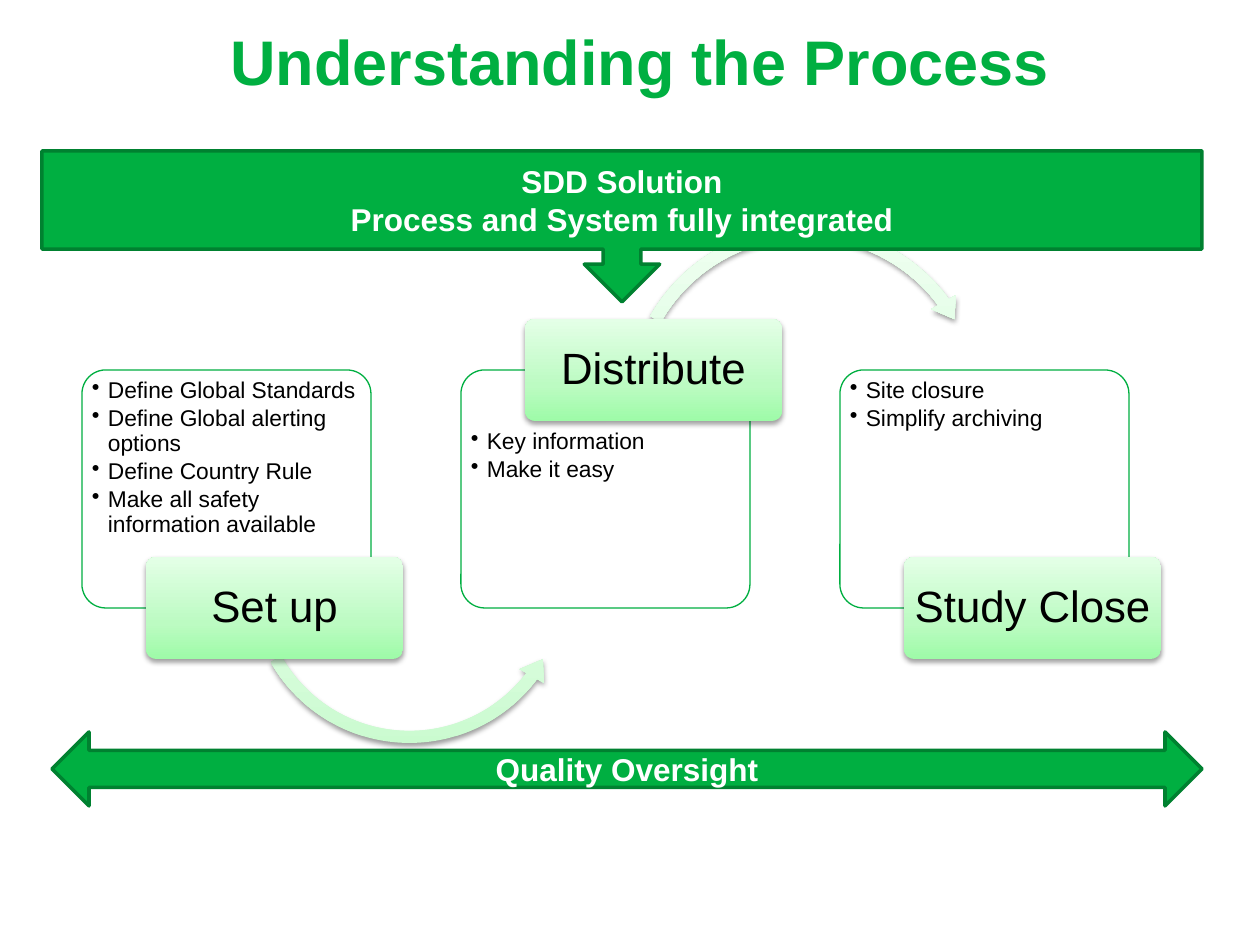
from copy import deepcopy

from lxml.etree import SubElement
from pptx import Presentation
from pptx.dml.color import RGBColor
from pptx.enum.shapes import MSO_SHAPE
from pptx.enum.text import MSO_ANCHOR, PP_ALIGN
from pptx.oxml.ns import qn
from pptx.util import Emu, Pt

EMU_PER_PX = 914400 / 126
COLORS = {
    "green": "00AF41", "dark": "008130", "white": "FFFFFF", "black": "000000",
    "label": ("9EFBA8", "BCFBC2", "E4FFE7"),
    "arc": ("CAFBCF", "D9FCDD", "EFFFF1"),
}
GRADIENT_POSITIONS = (0, 0.35, 1)

TITLE_FONT = {"size": Pt(36), "bold": True, "name": "Arial"}
BANNER_FONT = {"size": Pt(18), "bold": True, "name": "Arial"}
LABEL_FONT = {"size": Pt(25), "name": "Arial"}
POINT_FONT = {"size": Pt(13), "name": "Arial"}
CENTERED = {"alignment": PP_ALIGN.CENTER}
LABEL_PARAGRAPH = {"alignment": PP_ALIGN.CENTER, "line_spacing": 0.9}
POINT_PARAGRAPH = {"alignment": PP_ALIGN.LEFT, "level": 1,
                   "line_spacing": 0.9, "space_after": Pt(2)}

STAGE_BOX = (82, 370, 289, 238)
STAGE_PITCH = 379
LABEL_SIZE = (257, 102)
LABEL_OFFSET = 64
STAGES = [
    {"name": "Set up", "label_on_top": False,
     "points": ["Define Global Standards", "Define Global alerting options",
                "Define Country Rule", "Make all safety information available"],
     "arc": (MSO_SHAPE.LEFT_CIRCULAR_ARROW, (160, 46, 335),
             (0.036, 4.525, 22.28, 90.245, 0.042))},
    {"name": "Distribute", "label_on_top": True,
     "points": ["Key information", "Make it easy"],
     "arc": (MSO_SHAPE.CIRCULAR_ARROW, (158, -152, 372),
             (0.033, 4.041, 194.204, 125.755, 0.038))},
    {"name": "Study Close", "label_on_top": False,
     "points": ["Site closure", "Simplify archiving"], "arc": None},
]


def px(length):
    """Turn picture pixels into EMU."""
    return Emu(round(length * EMU_PER_PX))


def set_attributes(target, values):
    """Set every attribute named in a dict of format values."""
    for name, value in values.items():
        setattr(target, name, value)


def write_lines(shape, lines, font, color, paragraph_format, margins=None):
    """Fill a shape with one paragraph per line."""
    frame = shape.text_frame
    frame.word_wrap = True
    for side, margin in zip(("left", "top", "right", "bottom"), margins or ()):
        setattr(frame, f"margin_{side}", px(margin))
    for index, line in enumerate(lines):
        paragraph = frame.paragraphs[0] if index == 0 else frame.add_paragraph()
        set_attributes(paragraph, paragraph_format)
        run = paragraph.add_run()
        run.text = line
        set_attributes(run.font, font)
        run.font.color.rgb = RGBColor.from_string(COLORS[color])


def add_plain_shape(slide, kind, box, adjustments=()):
    """Add a preset shape without shadow."""
    shape = slide.shapes.add_shape(kind, *map(px, box))
    shape.shadow.inherit = False
    for index, value in enumerate(adjustments):
        shape.adjustments[index] = value
    return shape


def paint(shape, fill, line, width):
    """Give a shape a solid fill and an outline."""
    shape.fill.solid()
    shape.fill.fore_color.rgb = RGBColor.from_string(COLORS[fill])
    shape.line.color.rgb = RGBColor.from_string(COLORS[line])
    shape.line.width = Pt(width)


def add_glossy_shape(slide, kind, box, adjustments, gradient):
    """Add a borderless shape with a vertical gradient and a soft shadow."""
    shape = add_plain_shape(slide, kind, box, adjustments)
    shape.line.fill.background()
    shape.fill.gradient()
    shape.fill.gradient_angle = 90
    properties = shape.element.spPr
    stop_list = properties.find(".//" + qn("a:gsLst"))
    stop_list.append(deepcopy(stop_list[0]))
    stops = zip(shape.fill.gradient_stops, GRADIENT_POSITIONS, COLORS[gradient])
    for stop, position, color in stops:
        stop.position = position
        stop.color.rgb = RGBColor.from_string(color)
    shadow = SubElement(properties.find(qn("a:effectLst")), qn("a:outerShdw"),
                        blurRad=str(Pt(3.1)), dist=str(Pt(1.6)),
                        dir="5400000", rotWithShape="0")
    shade = SubElement(shadow, qn("a:srgbClr"), val=COLORS["black"])
    SubElement(shade, qn("a:alpha"), val="38000")
    return shape


def add_title(slide, box, text):
    """Place the slide title."""
    title = slide.shapes.add_textbox(*map(px, box))
    title.text_frame.vertical_anchor = MSO_ANCHOR.MIDDLE
    write_lines(title, [text], TITLE_FONT, "green", CENTERED)


def add_banner(slide, kind, box, lines):
    """Place a solid green arrow with white bold text."""
    banner = add_plain_shape(slide, kind, box)
    paint(banner, "green", "dark", 2)
    banner.text_frame.vertical_anchor = MSO_ANCHOR.MIDDLE
    write_lines(banner, lines, BANNER_FONT, "white", CENTERED)


def add_points(slide, box, points, top_margin):
    """Place the outlined box that lists the points of a stage."""
    panel = add_plain_shape(slide, MSO_SHAPE.ROUNDED_RECTANGLE, box, [0.1])
    paint(panel, "white", "green", 0.75)
    solid_color = panel.element.spPr.find(qn("a:solidFill"))[0]
    SubElement(solid_color, qn("a:alpha"), val="90000")
    panel.text_frame.vertical_anchor = MSO_ANCHOR.TOP
    write_lines(panel, points, POINT_FONT, "black", POINT_PARAGRAPH,
                (3, top_margin, 3, 2))
    for paragraph in panel.text_frame.paragraphs:
        properties = paragraph._p.get_or_add_pPr()
        properties.set("marL", str(px(16)))
        properties.set("indent", str(-px(16)))
        SubElement(properties, qn("a:buChar"), char="•")


def add_stage(slide, box, stage):
    """Place a stage: its points, the arc to the next one and its label."""
    left, top, width, height = box
    on_top = stage["label_on_top"]
    add_points(slide, box, stage["points"], 53 if on_top else 2)
    if stage["arc"]:
        kind, (arc_left, arc_top, size), adjustments = stage["arc"]
        add_glossy_shape(slide, kind, (left + arc_left, top + arc_top, size, size),
                         adjustments, "arc")
    label_width, label_height = LABEL_SIZE
    edge = top if on_top else top + height
    label_box = (left + LABEL_OFFSET, edge - label_height // 2,
                 label_width, label_height)
    label = add_glossy_shape(slide, MSO_SHAPE.ROUNDED_RECTANGLE, label_box,
                             [0.1], "label")
    label.text_frame.vertical_anchor = MSO_ANCHOR.MIDDLE
    write_lines(label, [stage["name"]], LABEL_FONT, "black", LABEL_PARAGRAPH,
                (6, 4, 6, 4))


def build_process_slide(presentation):
    """Build the process overview slide."""
    slide = presentation.slides.add_slide(presentation.slide_layouts[6])
    add_title(slide, (10, 21, 1260, 78), "Understanding the Process")
    left, top, width, height = STAGE_BOX
    for index, stage in enumerate(STAGES):
        add_stage(slide, (left + index * STAGE_PITCH, top, width, height), stage)
    add_banner(slide, MSO_SHAPE.LEFT_RIGHT_ARROW, (52, 732, 1150, 74),
               ["Quality Oversight"])
    add_banner(slide, MSO_SHAPE.DOWN_ARROW_CALLOUT, (42, 151, 1160, 151),
               ["SDD Solution", "Process and System fully integrated"])


presentation = Presentation()
presentation.slide_width = px(1260)
presentation.slide_height = px(945)
build_process_slide(presentation)
presentation.save("out.pptx")
